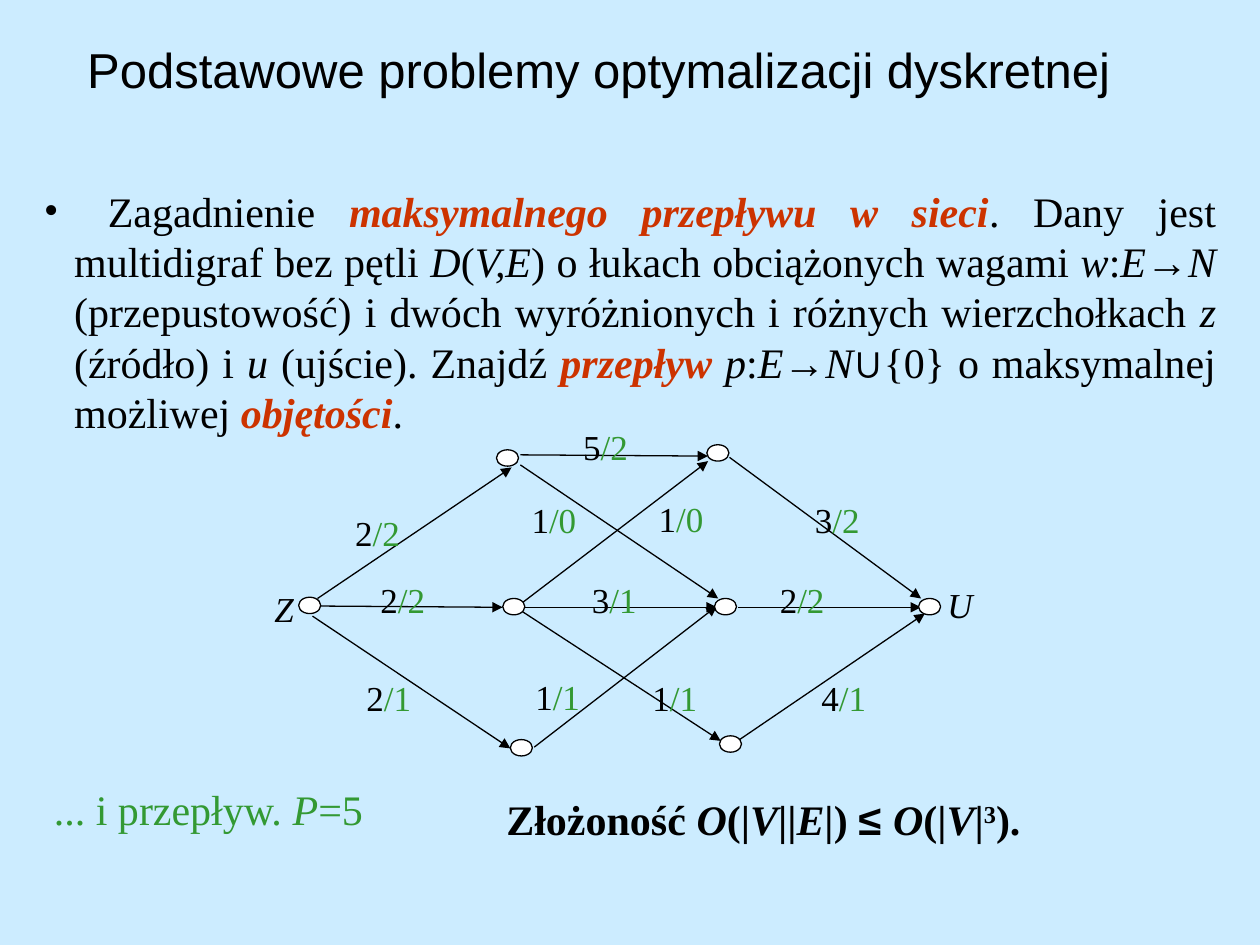
from collections import namedtuple

from lxml.etree import SubElement
from pptx import Presentation
from pptx.dml.color import RGBColor
from pptx.enum.shapes import MSO_CONNECTOR as Connector, MSO_SHAPE as Shape
from pptx.enum.text import MSO_ANCHOR as Anchor, PP_ALIGN as Align
from pptx.oxml.ns import qn
from pptx.util import Inches, Pt

COLUMNS, ROWS = 100, 75
WIDTH, HEIGHT = Inches(10), Inches(7.5)
BLACK, WHITE, RED, GREEN, SKY = "000000", "FFFFFF", "CC3300", "339933", "CCECFF"
SERIF, SANS = "Times New Roman", "Arial"

Box = namedtuple("Box", "left top width height")
Edge = namedtuple("Edge", "start end capacity flow label")

PLAIN = {"name": SERIF, "color": BLACK, "bold": False, "italic": False}
ITALIC = {**PLAIN, "italic": True}
SYMBOL = {**PLAIN, "name": SANS}
KEYWORD = {**ITALIC, "color": RED, "bold": True}
BOLD = {**PLAIN, "bold": True}
BOLD_ITALIC = {**BOLD, "italic": True}
BOLD_SYMBOL = {**BOLD, "name": SANS}
FLOW = {**PLAIN, "color": GREEN}
FLOW_ITALIC = {**FLOW, "italic": True}

PROBLEM = [
    (" Zagadnienie ", PLAIN), ("maksymalnego przepływu w sieci", KEYWORD),
    (". Dany jest multidigraf bez pętli ", PLAIN), ("D", ITALIC), ("(", PLAIN),
    ("V,E", ITALIC), (") o łukach obciążonych wagami ", PLAIN), ("w", ITALIC),
    (":", PLAIN), ("E", ITALIC), ("→", SYMBOL), ("N", ITALIC),
    (" (przepustowość) i dwóch wyróżnionych i różnych wierzchołkach ", PLAIN),
    ("z", ITALIC), (" (źródło) i ", PLAIN), ("u", ITALIC),
    (" (ujście). Znajdź ", PLAIN), ("przepływ ", KEYWORD), ("p", ITALIC),
    (":", PLAIN), ("E", ITALIC), ("→", SYMBOL), ("N", ITALIC), ("∪", SYMBOL),
    ("{0} o maksymalnej możliwej ", PLAIN), ("objętości", KEYWORD), (".", PLAIN),
]
FLOW_VALUE = [("... i przepływ. ", FLOW), ("P", FLOW_ITALIC), ("=5", FLOW)]
COMPLEXITY = [
    ("Złożoność ", BOLD), ("O", BOLD_ITALIC), ("(|", BOLD), ("V", BOLD_ITALIC),
    ("||", BOLD), ("E|", BOLD_ITALIC), (") ", BOLD), ("≤ ", BOLD_SYMBOL),
    ("O", BOLD_ITALIC), ("(|", BOLD), ("V", BOLD_ITALIC), ("|", BOLD),
    ("3", {**BOLD, "superscript": True}), (").", BOLD),
]

NODES = [
    (3.7, 14.4), (19.4, 2.7), (19.9, 14.5), (20.5, 25.7),
    (36.1, 2.3), (36.7, 14.5), (37.1, 25.4), (52.9, 14.5),
]
EDGES = [
    Edge((5.2, 14.5), (20.6, 4.1), 2, 2, Box(7.2, 7.1, 7.8, 4)),
    Edge((5.4, 15.1), (19.9, 15.2), 2, 2, Box(9.2, 12.4, 8.5, 4.4)),
    Edge((4.8, 15.9), (20.5, 26.4), 2, 1, Box(8.1, 20.2, 7.2, 3)),
    Edge((21.3, 3.1), (36.2, 3.2), 5, 2, Box(25.3, 0.3, 7.4, 5)),
    Edge((21.3, 3.9), (37, 14.5), 1, 0, Box(21.2, 6.1, 6.8, 4.9)),
    Edge((21.5, 14.8), (36.2, 3.6), 1, 0, Box(31.3, 6, 6.6, 4.3)),
    Edge((21.5, 15.2), (36.9, 15.2), 3, 1, Box(26, 12.4, 6.7, 4.4)),
    Edge((21.4, 15.5), (37.2, 25.8), 1, 1, Box(30.8, 20.2, 7.2, 3.3)),
    Edge((22.4, 26.3), (36.9, 15.1), 1, 1, Box(21.5, 20.1, 8.3, 3.9)),
    Edge((37.9, 3.3), (53.1, 14.5), 3, 2, Box(43.7, 6.1, 6.7, 3.3)),
    Edge((38.6, 15.2), (53.1, 15.2), 2, 2, Box(40.9, 12.4, 7.9, 3.2)),
    Edge((38.7, 25.7), (53.4, 15.7), 4, 1, Box(44.2, 20.2, 8.8, 3.8)),
]
TERMINALS = {"Z": Box(0.8, 13.1, 7, 4.1), "U": Box(54.2, 12.8, 5.8, 4)}


def color(value):
    return RGBColor.from_string(value)


def across(columns):
    return round(WIDTH * columns / COLUMNS)


def down(rows):
    return round(HEIGHT * rows / ROWS)


def place(box):
    return across(box.left), down(box.top), across(box.width), down(box.height)


def inside(area, box):
    return Box(area.left + box.left, area.top + box.top, box.width, box.height)


def add_runs(paragraph, runs, size):
    for text, style in runs:
        run = paragraph.add_run()
        run.text = text
        run.font.size = Pt(size)
        for name, value in style.items():
            if name == "color":
                run.font.color.rgb = color(value)
            elif name == "superscript":
                run.font._element.set("baseline", "30000")
            else:
                setattr(run.font, name, value)


def add_text(shapes, box, runs, size, align=Align.LEFT, anchor=Anchor.TOP):
    frame = shapes.add_textbox(*place(box)).text_frame
    settings = {"word_wrap": True, "vertical_anchor": anchor}
    for name, value in settings.items():
        setattr(frame, name, value)
    paragraph = frame.paragraphs[0]
    paragraph.alignment = align
    paragraph.line_spacing = Pt(size * 1.2)
    add_runs(paragraph, runs, size)
    return paragraph


def add_title(shapes, box):
    runs = [("Podstawowe problemy optymalizacji dyskretnej", SYMBOL)]
    add_text(shapes, box, runs, 28, Align.CENTER, Anchor.MIDDLE)


def add_problem(shapes, box):
    paragraph = add_text(shapes, box, PROBLEM, 24, Align.JUSTIFY)
    properties = paragraph._p.get_or_add_pPr()
    indent = across(2.4)
    properties.set("marL", str(indent))
    properties.set("indent", str(-indent))
    SubElement(properties, qn("a:buFont"), typeface=SERIF)
    SubElement(properties, qn("a:buChar"), char="•")


def add_arrow(shapes, area, edge):
    ends = []
    for column, row in (edge.start, edge.end):
        ends += [across(area.left + column), down(area.top + row)]
    arrow = shapes.add_connector(Connector.STRAIGHT, *ends)
    arrow.line.color.rgb = color(BLACK)
    arrow.line.width = Pt(0.75)
    SubElement(arrow.line._get_or_add_ln(), qn("a:tailEnd"), type="triangle")
    SubElement(arrow._element.spPr, qn("a:effectLst"))


def add_node(shapes, box):
    node = shapes.add_shape(Shape.OVAL, *place(box))
    node.shadow.inherit = False
    node.fill.solid()
    node.fill.fore_color.rgb = color(WHITE)
    node.line.color.rgb = color(BLACK)
    node.line.width = Pt(0.75)


def add_network(shapes, area):
    members = shapes.add_group_shape().shapes
    for edge in EDGES:
        add_arrow(members, area, edge)
    for column, row in NODES:
        add_node(members, inside(area, Box(column, row, 1.75, 1.3)))
    for edge in EDGES:
        runs = [(str(edge.capacity), PLAIN), (f"/{edge.flow}", FLOW)]
        add_text(members, inside(area, edge.label), runs, 20)
    for name, box in TERMINALS.items():
        add_text(members, inside(area, box), [(name, ITALIC)], 20)


def add_summary(shapes, area):
    flow = inside(area, Box(0, 0, 31.7, 5))
    complexity = inside(area, Box(35.9, 0.8, 60.8, 5))
    for box, runs in ((flow, FLOW_VALUE), (complexity, COMPLEXITY)):
        add_text(shapes, box, runs, 24, Align.JUSTIFY)


def main():
    presentation = Presentation()
    presentation.slide_width, presentation.slide_height = WIDTH, HEIGHT
    slide = presentation.slides.add_slide(presentation.slide_layouts[6])
    slide.background.fill.solid()
    slide.background.fill.fore_color.rgb = color(SKY)
    add_title(slide.shapes, Box(-2.5, -0.8, 100, 12.5))
    add_problem(slide.shapes, Box(2.5, 14.2, 95, 21))
    add_network(slide.shapes, Box(20, 33, 60, 27))
    add_summary(slide.shapes, Box(3.3, 61.7, 96.7, 5.8))
    presentation.save("out.pptx")


if __name__ == "__main__":
    main()
